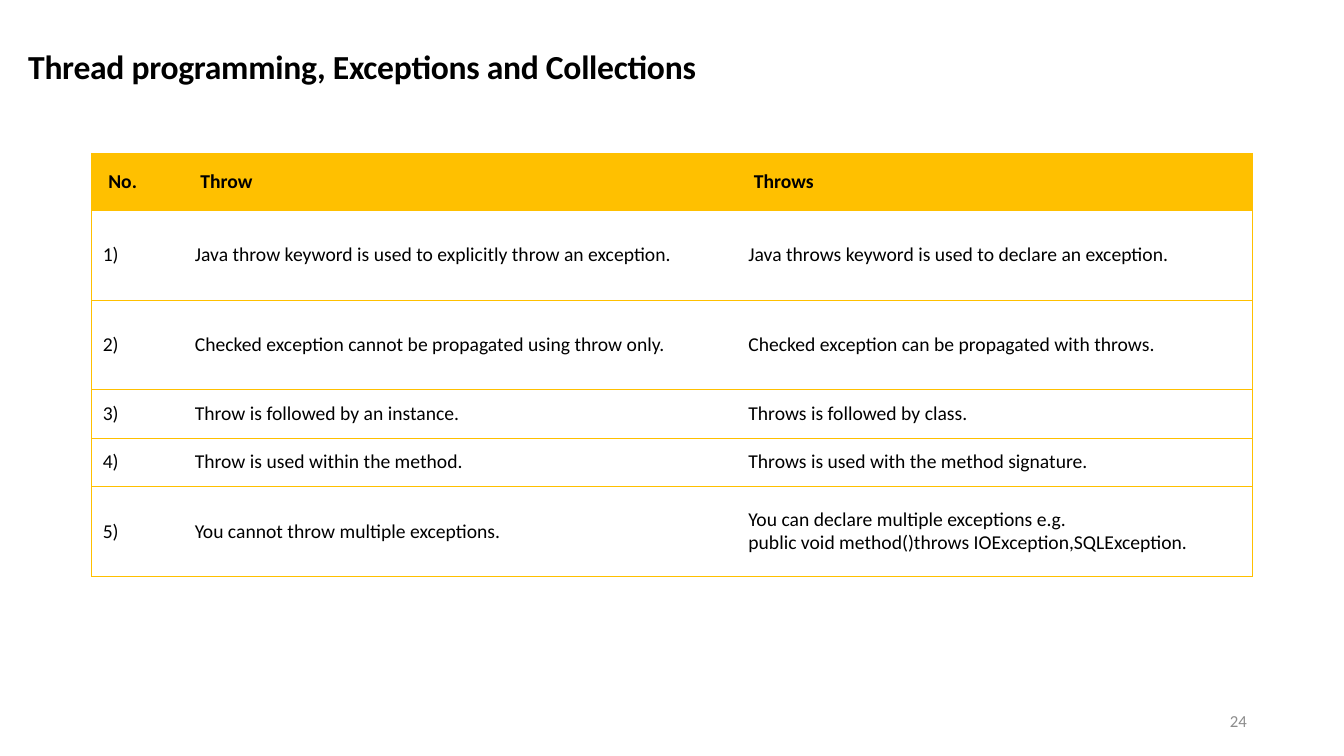
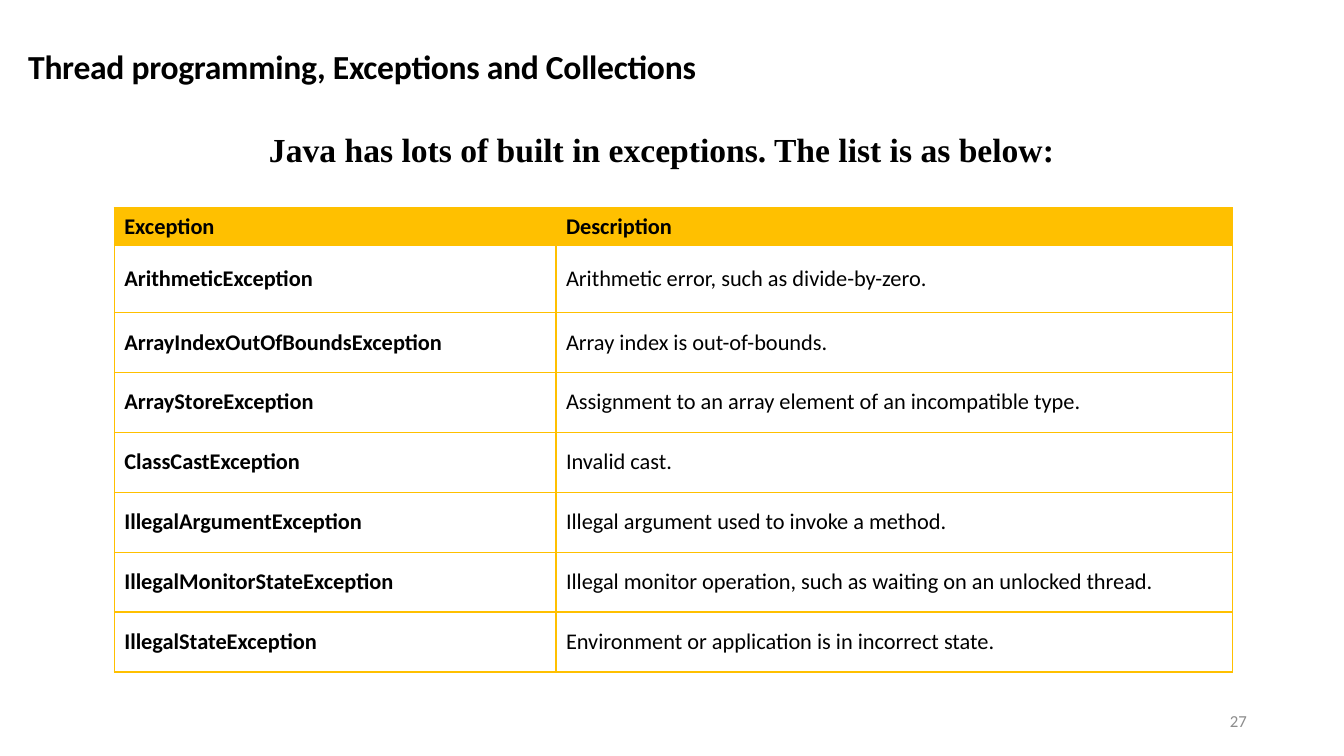
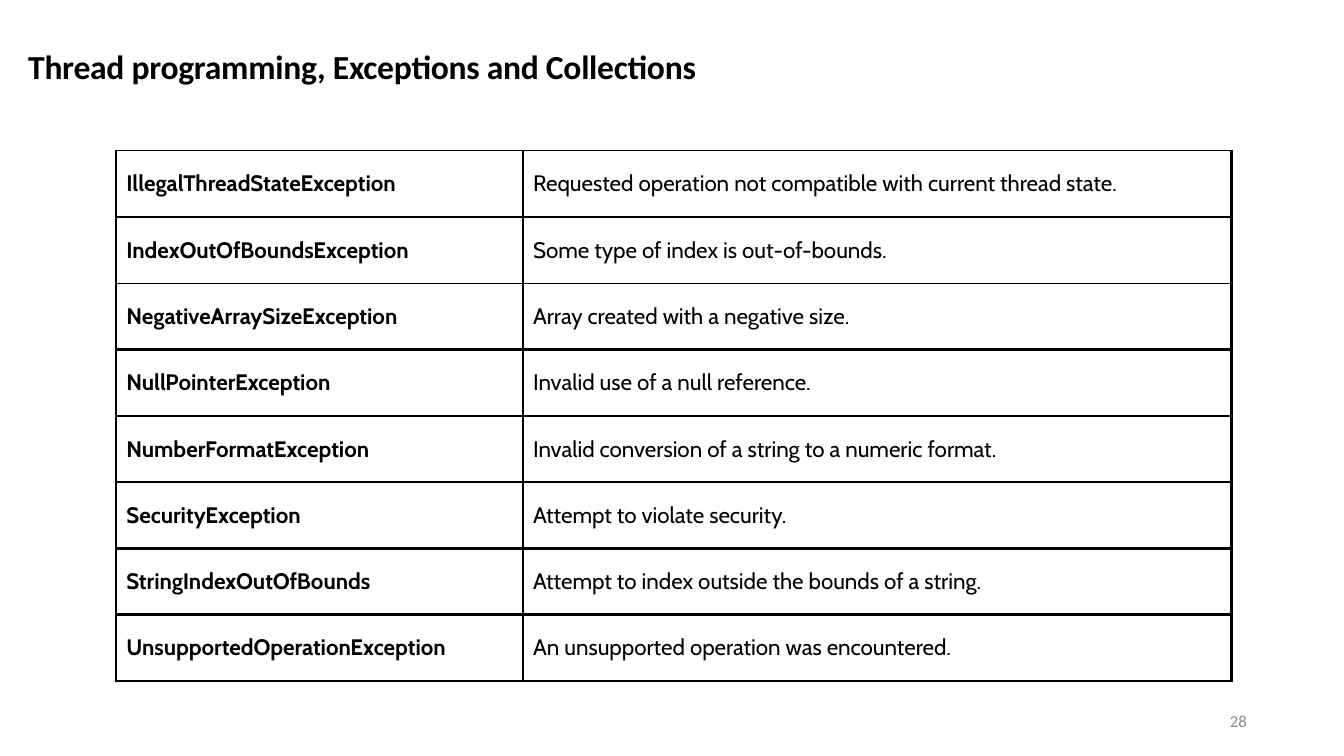
from copy import deepcopy

from lxml.etree import SubElement
from pptx import Presentation
from pptx.dml.color import RGBColor
from pptx.enum.text import MSO_ANCHOR, PP_ALIGN
from pptx.oxml.ns import qn
from pptx.util import Cm, Pt

COLORS = {"text": "000000", "muted": "8C8C8C", "amber": "FFC000", "white": "FFFFFF"}
FONT = "Calibri"
TITLE = "Thread programming, Exceptions and Collections"

KEYWORDS = [
    ("No.", "Throw", "Throws"),
    ("1)", "Java throw keyword is used to explicitly throw an exception.",
     "Java throws keyword is used to declare an exception."),
    ("2)", "Checked exception cannot be propagated using throw only.",
     "Checked exception can be propagated with throws."),
    ("3)", "Throw is followed by an instance.", "Throws is followed by class."),
    ("4)", "Throw is used within the method.", "Throws is used with the method signature."),
    ("5)", "You cannot throw multiple exceptions.",
     "You can declare multiple exceptions e.g.\n"
     "public void method()throws IOException,SQLException."),
]
BUILT_IN = [
    ("Exception", "Description"),
    ("ArithmeticException", "Arithmetic error, such as divide-by-zero."),
    ("ArrayIndexOutOfBoundsException", "Array index is out-of-bounds."),
    ("ArrayStoreException", "Assignment to an array element of an incompatible type."),
    ("ClassCastException", "Invalid cast."),
    ("IllegalArgumentException", "Illegal argument used to invoke a method."),
    ("IllegalMonitorStateException",
     "Illegal monitor operation, such as waiting on an unlocked thread."),
    ("IllegalStateException", "Environment or application is in incorrect state."),
]
MORE_BUILT_IN = [
    ("IllegalThreadStateException",
     "Requested operation not compatible with current thread state."),
    ("IndexOutOfBoundsException", "Some type of index is out-of-bounds."),
    ("NegativeArraySizeException", "Array created with a negative size."),
    ("NullPointerException", "Invalid use of a null reference."),
    ("NumberFormatException", "Invalid conversion of a string to a numeric format."),
    ("SecurityException", "Attempt to violate security."),
    ("StringIndexOutOfBounds", "Attempt to index outside the bounds of a string."),
    ("UnsupportedOperationException", "An unsupported operation was encountered."),
]


def rgb(name):
    return RGBColor.from_string(COLORS[name])


def write(tf, text, size=16, font=FONT, color="text", bold=False,
          align=PP_ALIGN.LEFT, spacing=None):
    """Fill the first paragraph; a newline becomes a line break."""
    p = tf.paragraphs[0]
    p.alignment = align
    for i, line in enumerate(text.split("\n")):
        if i:
            p.add_line_break()
            p._p[-1].append(deepcopy(r._r.rPr))
        r = p.add_run()
        r.text = line
        r.font.size, r.font.name, r.font.bold = Pt(size), font, bold
        r.font.color.rgb = rgb(color)
        if spacing is not None:
            r._r.get_or_add_rPr().set("spc", str(round(spacing * 100)))


def add_text(s, box, text, inset=(0.13, 0.13), anchor=MSO_ANCHOR.TOP, **fmt):
    """Text box; inset gives the left margin and that of the other sides."""
    tf = s.shapes.add_textbox(*map(Cm, box)).text_frame
    tf.word_wrap = True
    tf.vertical_anchor = anchor
    tf.margin_left = Cm(inset[0])
    tf.margin_right = tf.margin_top = tf.margin_bottom = Cm(inset[1])
    write(tf, text, **fmt)


def set_borders(cell, widths, color):
    """Widths in points for left, right, top and bottom; 0 hides the side."""
    tcPr = cell._tc.get_or_add_tcPr()
    for side, width in zip("LRTB", widths):
        ln = SubElement(tcPr, qn(f"a:ln{side}"), w=str(Pt(width)))
        if width:
            fill = SubElement(ln, qn("a:solidFill"))
            SubElement(fill, qn("a:srgbClr"), val=COLORS[color])
        else:
            SubElement(ln, qn("a:noFill"))


def add_grid(s, left, top, cols, heights, rows, line, h_lines, v_lines,
             header=False, bold_first=False, margins=None, **fmt):
    """Table; h_lines and v_lines list the line widths from edge to edge."""
    tbl = s.shapes.add_table(len(rows), len(cols), Cm(left), Cm(top),
                             Cm(sum(cols)), Cm(sum(heights))).table
    tbl.first_row = tbl.horz_banding = False
    for col, width in zip(tbl.columns, cols):
        col.width = Cm(width)
    for i, (texts, height) in enumerate(zip(rows, heights)):
        tbl.rows[i].height = Cm(height)
        is_head = header and i == 0
        for j, text in enumerate(texts):
            cell = tbl.cell(i, j)
            set_borders(cell, v_lines[j:j + 2] + h_lines[i:i + 2], line)
            cell.fill.solid()
            cell.fill.fore_color.rgb = rgb("amber" if is_head else "white")
            cell.vertical_anchor = MSO_ANCHOR.MIDDLE
            if margins:
                m = Cm(margins[0] if is_head else margins[1])
                cell.margin_left = cell.margin_right = m
                cell.margin_top = cell.margin_bottom = m
            write(cell.text_frame, text,
                  bold=is_head or (bold_first and j == 0), **fmt)


def add_base(prs, number):
    """Blank slide with the shared title and page number."""
    s = prs.slides.add_slide(prs.slide_layouts[6])
    add_text(s, (23.93, 17.65, 7.62, 1.02), str(number), inset=(0.25, 0.13),
             anchor=MSO_ANCHOR.MIDDLE, size=12, color="muted", align=PP_ALIGN.RIGHT)
    add_text(s, (0.58, 1.02, 28.47, 1.27), TITLE, size=24, bold=True, spacing=-0.2)
    return s


def keywords_slide(prs):
    s = add_base(prs, 24)
    add_grid(s, 2.31, 3.86, [2.32, 13.95, 12.99], [1.44, 2.26, 2.26, 1.22, 1.22, 2.26],
             KEYWORDS, "amber", [0.5] * 7, [0.5, 0, 0, 0.5],
             header=True, margins=(0.42, 0.28), size=14)


def built_in_slide(prs):
    s = add_base(prs, 27)
    add_grid(s, 2.88, 5.24, [11.13, 17.06], [0.93, 1.7] + [1.51] * 6,
             BUILT_IN, "amber", [1] * 9, [1] * 3, header=True, bold_first=True)
    add_text(s, (0.58, 3.12, 32.87, 1.27),
             "Java has lots of built in exceptions. The list is as below:",
             inset=(6.2, 0.13), size=24, font="Times New Roman", bold=True)


def more_built_in_slide(prs):
    s = add_base(prs, 28)
    add_grid(s, 2.93, 3.8, [10.25, 17.86], [1.67] * 8, MORE_BUILT_IN, "text",
             [1, 2, 1] + [2] * 6, [2] * 3, bold_first=True, font="Cabin")


def main():
    prs = Presentation()
    prs.slide_width, prs.slide_height = Cm(33.87), Cm(19.05)
    keywords_slide(prs)
    built_in_slide(prs)
    more_built_in_slide(prs)
    prs.save("out.pptx")


if __name__ == "__main__":
    main()
